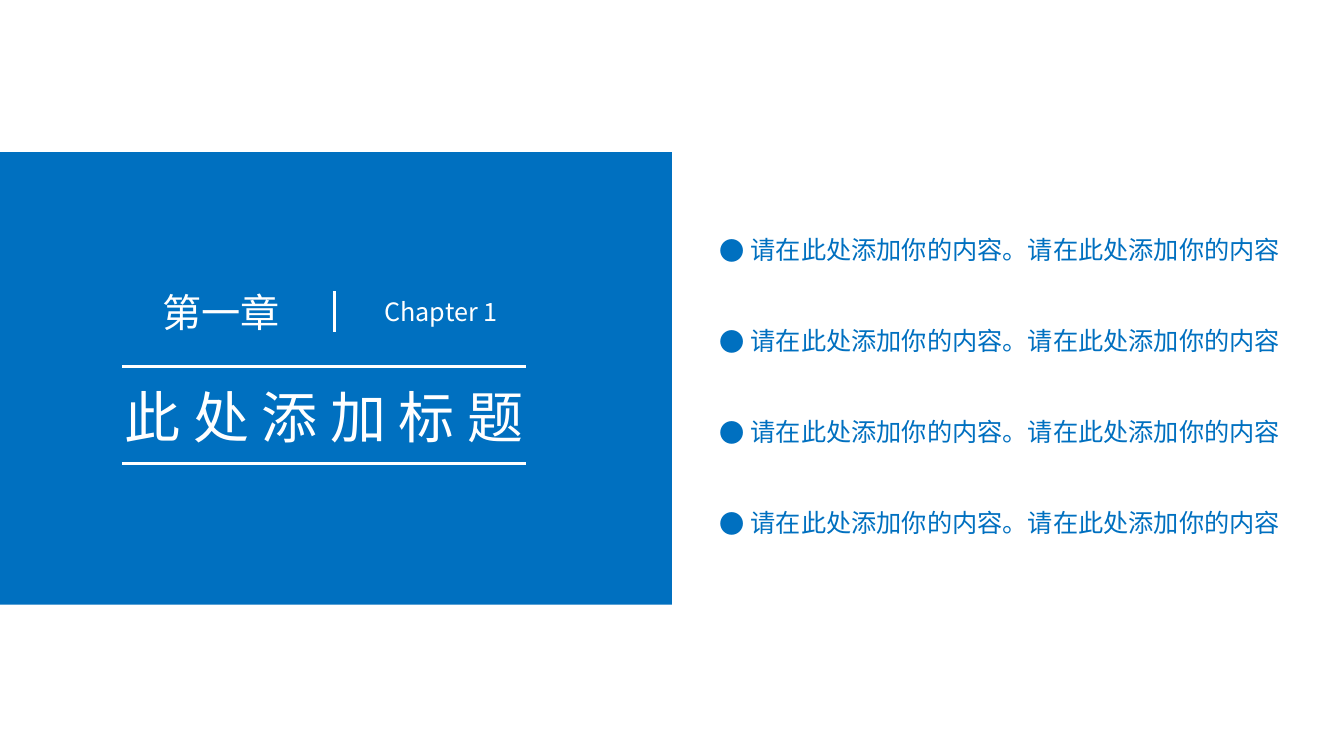
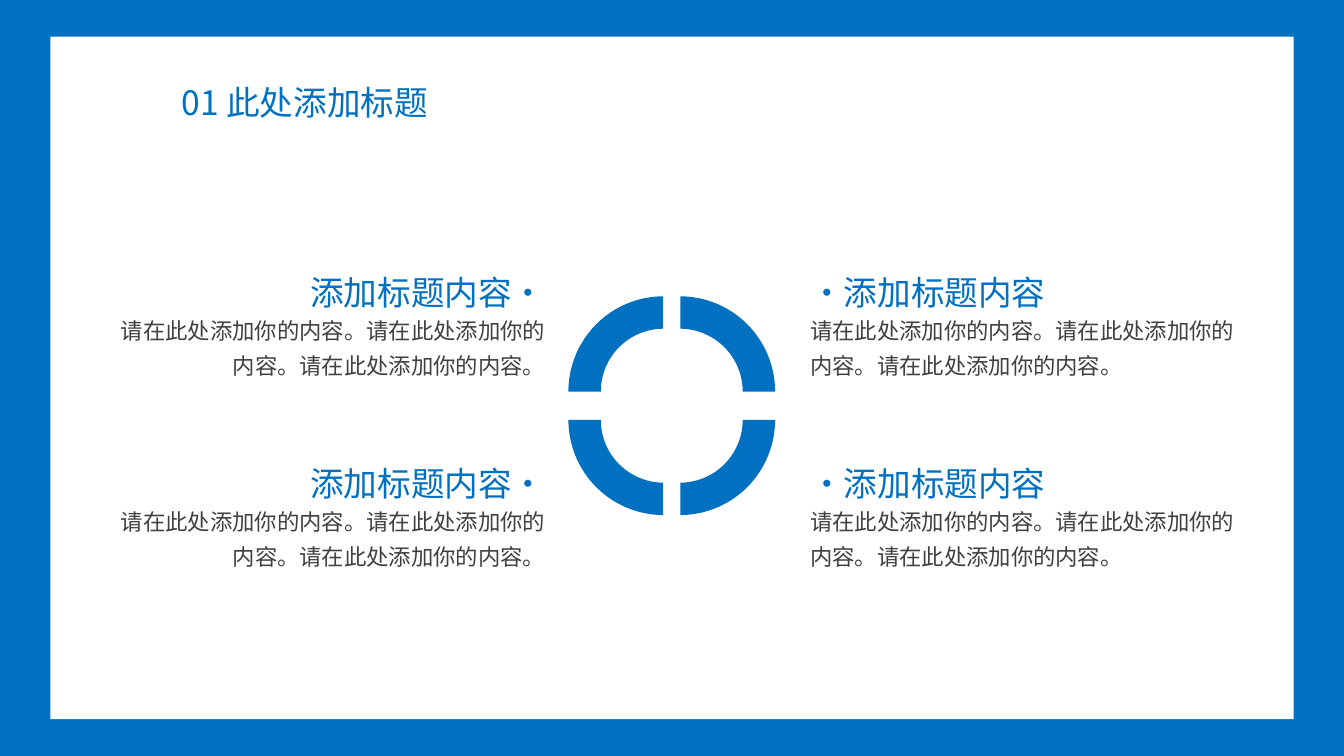
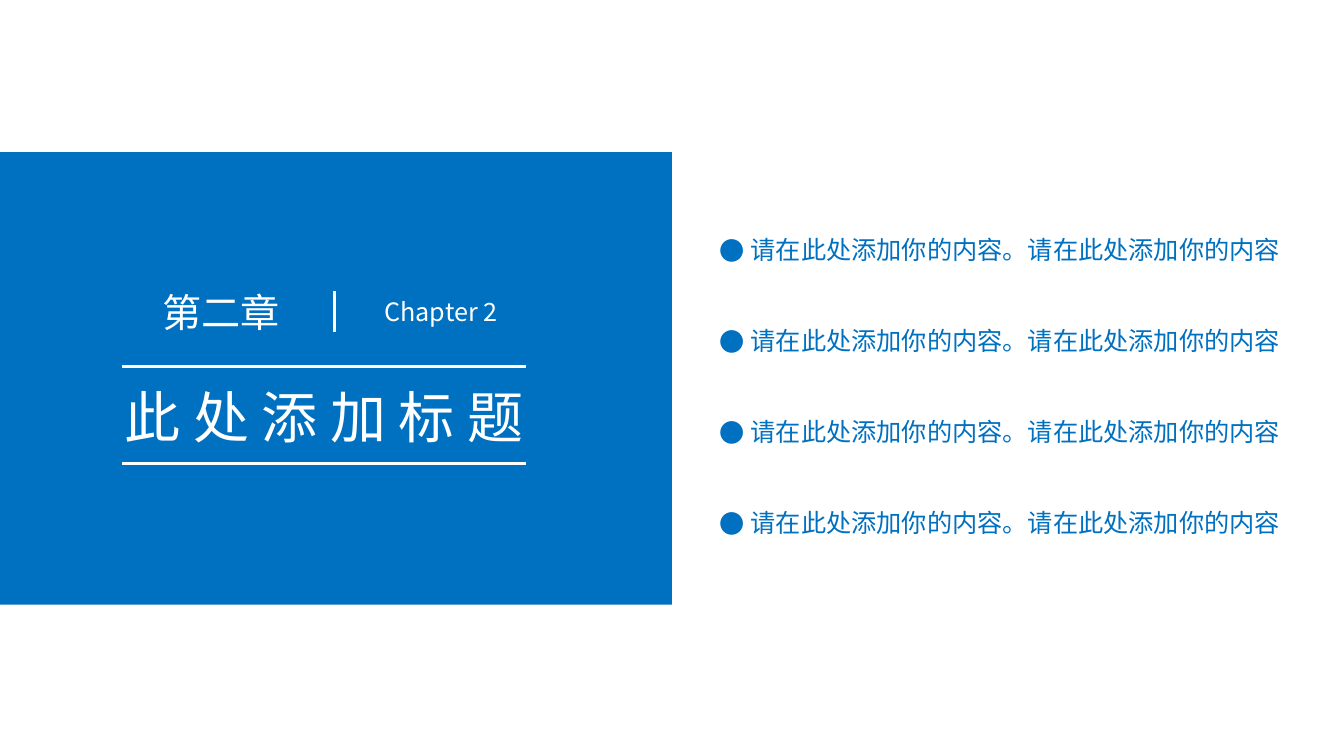
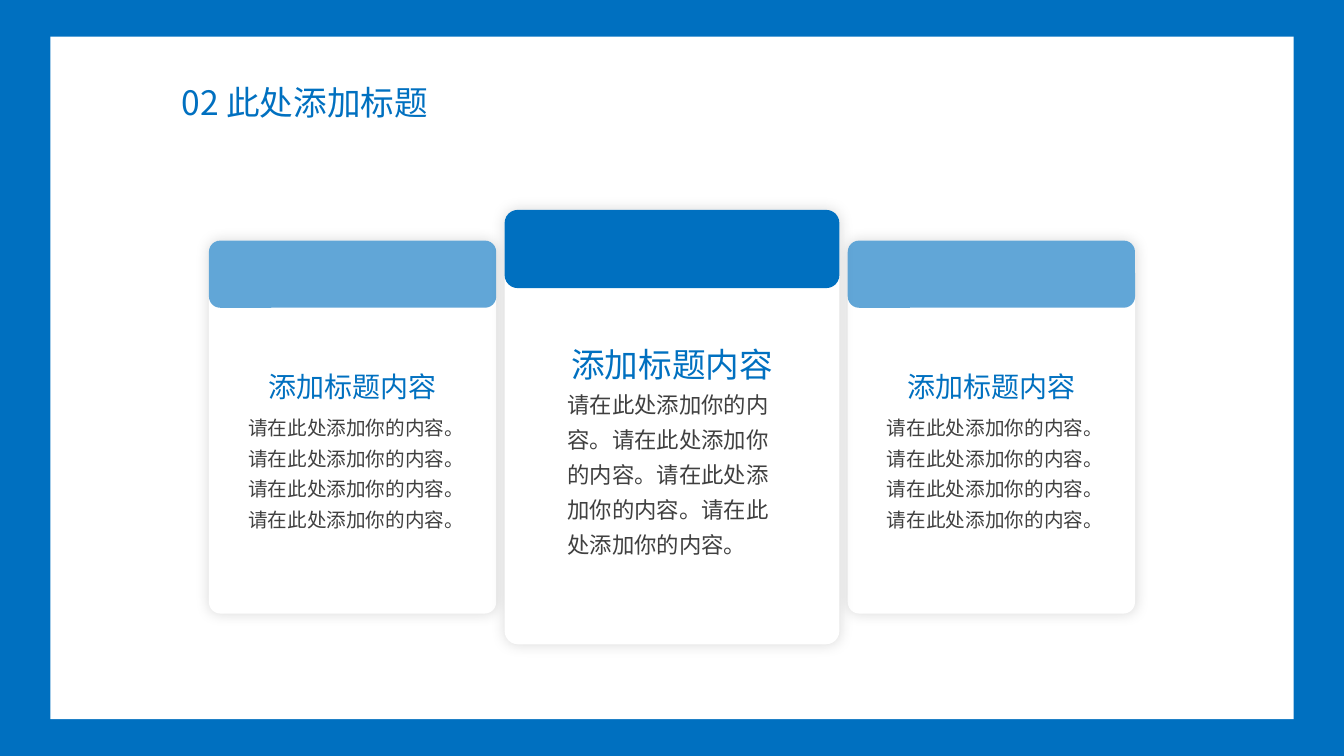
from lxml.etree import SubElement
from pptx import Presentation
from pptx.dml.color import RGBColor
from pptx.enum.shapes import MSO_CONNECTOR, MSO_SHAPE
from pptx.enum.text import MSO_ANCHOR, MSO_AUTO_SIZE, PP_ALIGN
from pptx.oxml.ns import qn
from pptx.util import Inches, Pt

# Grid: 64 columns by 36 rows of square cells
COLS, ROWS = 64, 36
CELL = Inches(7.5) / ROWS

BLUE, WHITE, GREY = "0070C0", "FFFFFF", "404040"
FONT = "Noto Sans CJK SC"
LEFT, CENTER, RIGHT = PP_ALIGN.LEFT, PP_ALIGN.CENTER, PP_ALIGN.RIGHT

HEADING = "添加标题内容"
SENTENCE = "请在此处添加你的内容。"
POINT = "请在此处添加你的内容。请在此处添加你的内容"


def rgb(value):
    return RGBColor.from_string(value)


def grid(*cells):
    return [round(c * CELL) for c in cells]


def inside(box, x, y, w, h):
    """Box whose corner is given relative to another box."""
    return box[0] + x, box[1] + y, w, h


# Basic parts
def add_effects(sp, color=None, alpha=0, blur=0):
    effects = SubElement(sp._element.spPr, qn("a:effectLst"))
    if color:
        shadow = SubElement(effects, qn("a:outerShdw"), blurRad=str(Pt(blur)),
                            dist="0", dir="0", algn="ctr", rotWithShape="0")
        clr = SubElement(shadow, qn("a:srgbClr"), val=color)
        SubElement(clr, qn("a:alpha"), val=str(alpha * 1000))


def add_block(s, kind, box, color, alpha=100, shadow=None):
    sp = s.shapes.add_shape(kind, *grid(*box))
    sp.fill.solid()
    sp.fill.fore_color.rgb = rgb(color)
    sp.line.fill.background()
    if alpha < 100:
        clr = sp._element.spPr.find(".//" + qn("a:srgbClr"))
        SubElement(clr, qn("a:alpha"), val=str(alpha * 1000))
    if shadow:
        add_effects(sp, *shadow)
    else:
        sp.shadow.inherit = False
    return sp


def add_rule(s, x1, y1, x2, y2):
    line = s.shapes.add_connector(MSO_CONNECTOR.STRAIGHT, *grid(x1, y1, x2, y2))
    line.line.color.rgb = rgb(WHITE)
    line.line.width = Pt(2)
    add_effects(line)


def write(tf, paragraphs, size, color, align=LEFT, spacing=None, gap=0,
          bullet=None, margin=None):
    frame = dict(word_wrap=True, auto_size=MSO_AUTO_SIZE.SHAPE_TO_FIT_TEXT,
                 vertical_anchor=MSO_ANCHOR.TOP)
    if margin is not None:
        frame.update({f"margin_{side}": margin
                      for side in ("left", "right", "top", "bottom")})
    for name, value in frame.items():
        setattr(tf, name, value)
    for i, text in enumerate(paragraphs):
        p = tf.add_paragraph() if i else tf.paragraphs[0]
        if bullet:
            pPr = p._p.get_or_add_pPr()
            indent = Inches(0.31)
            pPr.set("marL", str(indent))
            pPr.set("indent", str(-indent))
            SubElement(pPr, qn("a:buFont"), typeface=FONT)
            SubElement(pPr, qn("a:buChar"), char=bullet)
        p.alignment = align
        if spacing:
            p.line_spacing = spacing
        if i and gap:
            p.space_before = Pt(gap)
        r = p.add_run()
        r.text = text
        for name, value in dict(size=Pt(size), name=FONT, bold=False).items():
            setattr(r.font, name, value)
        r.font.color.rgb = rgb(color)
        SubElement(r._r.get_or_add_rPr(), qn("a:ea"), typeface=FONT)


def add_text(s, box, paragraphs, size, color, **style):
    sp = s.shapes.add_textbox(*grid(*box))
    write(sp.text_frame, paragraphs, size, color, **style)


def place_title(s, box, text, size, color, align=LEFT):
    title = s.shapes.title
    s.shapes._spTree.append(title._element)  # in front of the panel
    for name, value in zip(("left", "top", "width", "height"), grid(*box)):
        setattr(title, name, value)
    write(title.text_frame, [text], size, color, align)


def new_slide(prs):
    return prs.slides.add_slide(prs.slide_layouts[5])


# Chapter slides
def chapter_panel(s, box, number, label, title):
    x, y = box[:2]
    add_block(s, MSO_SHAPE.RECTANGLE, box, BLUE)
    add_text(s, inside(box, 4.13, 6.24, 12.77, 2.74), [number], 28, WHITE, align=CENTER)
    add_text(s, inside(box, 15.41, 6.62, 11.18, 1.92), [label], 18, WHITE, align=CENTER)
    add_rule(s, x + 15.94, y + 6.62, x + 15.94, y + 8.54)
    place_title(s, inside(box, 3.6, 10.7, 23.66, 3.7), title, 40, WHITE, CENTER)
    for row in (10.22, 14.83):
        add_rule(s, x + 5.81, y + row, x + 25.06, y + row)


def chapter_slide(prs, number, label):
    s = new_slide(prs)
    chapter_panel(s, (0, 7.25, COLS / 2, 21.55), number, label, "此 处 添 加 标 题")
    add_text(s, (33.79, 10.22, 28.46, 15.74), [POINT] * 4, 18, BLUE,
             spacing=1.5, gap=32.5, bullet="●")


# Content slides
def content_slide(prs, title):
    s = new_slide(prs)
    s.background.fill.solid()
    s.background.fill.fore_color.rgb = rgb(BLUE)
    panel = (2.4, 1.75, 59.2, 32.5)
    add_block(s, MSO_SHAPE.RECTANGLE, panel, WHITE, shadow=(BLUE, 40, 5))
    place_title(s, inside(panel, 5.76, 1.9, 13.82, 2.4), title, 24, BLUE)
    return s


def quarter_ring(s, box, arc_size):
    x, y, w, h = box
    for right in (True, False):
        for bottom in (False, True):
            arc = add_block(s, MSO_SHAPE.BLOCK_ARC,
                            (x + (w - arc_size) * right, y + (h - arc_size) * bottom,
                             arc_size, arc_size), BLUE)
            for i, value in enumerate((162.23, 0, 0.17)):
                arc.adjustments[i] = value
            xfrm = arc._element.spPr.find(qn("a:xfrm"))
            xfrm.set("flipH", str(int(not right)))
            xfrm.set("flipV", str(int(bottom)))


def note(s, box, align):
    w, head_w = box[2], 12.86
    at_right = align == RIGHT
    heading = HEADING + "·" if at_right else "·" + HEADING
    add_text(s, inside(box, (w - head_w) * at_right, 0, head_w, 2.4), [heading],
             24, BLUE, align=align)
    add_text(s, inside(box, 0, 1.78, w, 3.7), [SENTENCE * 3], 16, GREY,
             align=align, spacing=1.3)


def card(s, box, head_row, head_size, body_size, alpha):
    x, y, w, h = box
    body = add_block(s, MSO_SHAPE.ROUNDED_RECTANGLE, box, WHITE, shadow=("000000", 15, 10))
    body.adjustments[0] = 0.04
    add_block(s, MSO_SHAPE.ROUNDED_RECTANGLE, (x, y, w, 0.18 * h), BLUE, alpha)
    head_w, text_w = 12.86, 9.94
    add_text(s, inside(box, (w - text_w) / 2, head_row + 2.11, text_w, 0.4 * h),
             [SENTENCE * 4], body_size, GREY, spacing=1.3, margin=0)
    add_text(s, inside(box, (w - head_w) / 2, head_row, head_w, 2.4), [HEADING],
             head_size, BLUE, align=CENTER)


def ring_slide(prs):
    s = content_slide(prs, "01 此处添加标题")
    quarter_ring(s, (27.07, 14.11, 9.84, 10.42), 9.07)
    for x, align in ((38.11, LEFT), (4.37, RIGHT)):
        for y in (12.72, 21.79):
            note(s, (x, y, 22.08, 5.48), align)


def cards_slide(prs):
    s = content_slide(prs, "02 此处添加标题")
    mid_w, mid_h, side_w, side_h = 15.94, 20.69, 13.68, 17.76
    gap, middle = 0.4, 20.34
    offset = mid_w / 2 + gap
    for x in (COLS / 2 - offset - side_w, COLS / 2 + offset):
        card(s, (x, middle - side_h / 2, side_w, side_h), 5.9, 20, 14, 62)
    card(s, ((COLS - mid_w) / 2, middle - mid_h / 2, mid_w, mid_h), 6.14, 24, 16, 100)


def main():
    prs = Presentation()
    prs.slide_width, prs.slide_height = grid(COLS, ROWS)
    chapter_slide(prs, "第一章", "Chapter 1")
    ring_slide(prs)
    chapter_slide(prs, "第二章", "Chapter 2")
    cards_slide(prs)
    prs.save("out.pptx")


if __name__ == "__main__":
    main()
